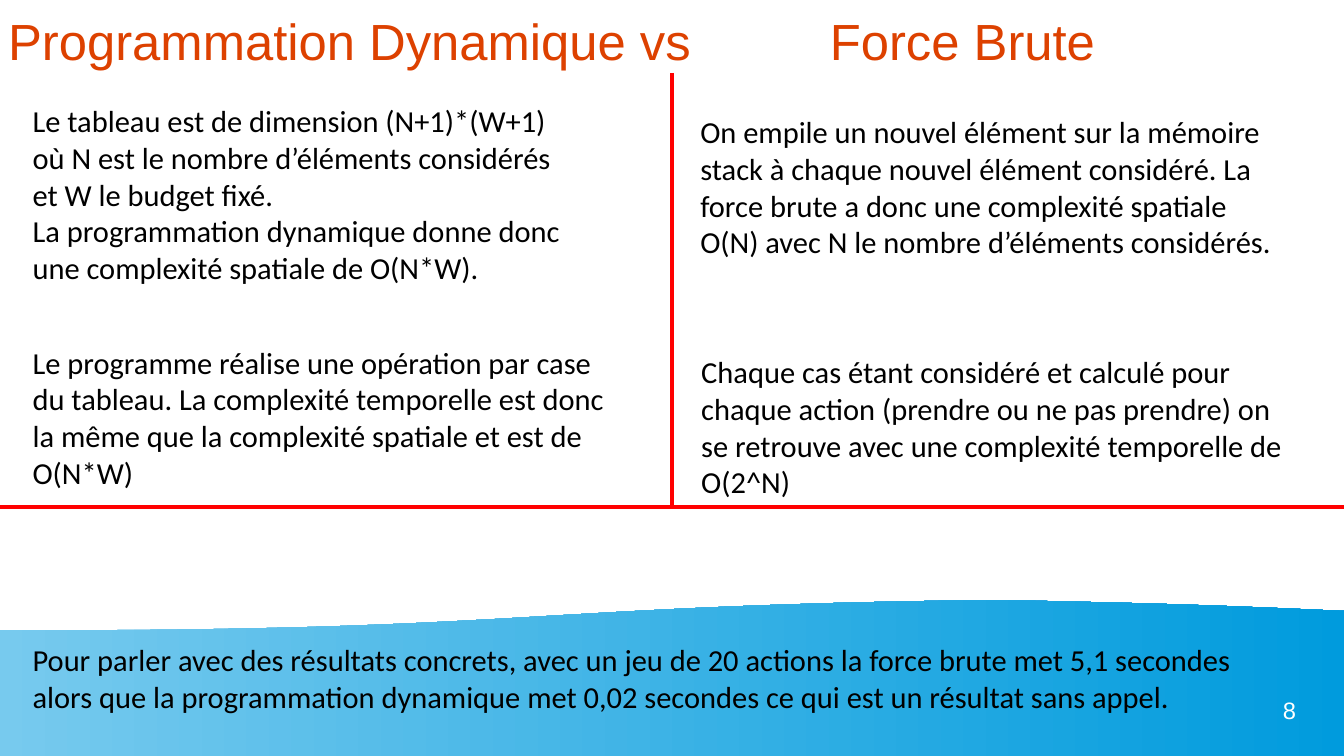
from dataclasses import dataclass

from lxml.etree import SubElement
from pptx import Presentation
from pptx.dml.color import RGBColor
from pptx.enum.shapes import MSO_CONNECTOR
from pptx.enum.text import MSO_ANCHOR, MSO_AUTO_SIZE, PP_ALIGN
from pptx.oxml.ns import qn
from pptx.shapes.autoshape import Shape
from pptx.slide import Slide
from pptx.util import Cm, Pt

WIDTH, HEIGHT = 28.0, 15.75
MIDDLE, FLOOR = WIDTH / 2, 10.57
COLORS = {
    "title": "DD4100",
    "text": "000000",
    "divider": "FF0000",
    "number": "FFFFFF",
    "wave_left": "77CAEE",
    "wave_right": "009BDD",
}
Point = tuple[float, float]


@dataclass(frozen=True)
class TextBlock:
    left: float
    top: float
    width: float
    height: float
    paragraphs: tuple[str, ...]
    size: int = 18
    font: str = "Calibri"
    color: str = "text"
    align: PP_ALIGN = PP_ALIGN.LEFT
    anchor: MSO_ANCHOR = MSO_ANCHOR.TOP
    padded: bool = True


@dataclass(frozen=True)
class Divider:
    start: Point
    end: Point


@dataclass(frozen=True)
class Curve:
    start: Point
    first_control: Point
    second_control: Point
    end: Point

    def points(self, steps: int = 40) -> list[Point]:
        return [self.at(step / steps) for step in range(1, steps + 1)]

    def at(self, t: float) -> Point:
        weights = ((1 - t) ** 3, 3 * t * (1 - t) ** 2, 3 * t**2 * (1 - t), t**3)
        anchors = (self.start, self.first_control, self.second_control, self.end)
        x, y = (sum(w * a[axis] for w, a in zip(weights, anchors)) for axis in (0, 1))
        return x, y


WAVE = (
    Curve((0, 13.13), (11.07, 13.16), (10.72, 12.62), (20.73, 12.5)),
    Curve((20.73, 12.5), (24.28, 12.57), (25.6, 12.62), (WIDTH, 12.73)),
)
TITLE = TextBlock(
    0.17, 0, 27.8, 1.68, ("Programmation Dynamique vs\tForce Brute",),
    30, "Arial", "title", anchor=MSO_ANCHOR.MIDDLE, padded=False,
)
TITLE_TAB = 17.12
BLOCKS = (
    TextBlock(20.5, 14.5, 6.5, 0.99, ("8",), 14, "Arial", "number",
              PP_ALIGN.RIGHT, padded=False),
    TextBlock(0.43, 2.01, 11.6, 4.11, (
        "Le tableau est de dimension (N+1)*(W+1) où N est le nombre d’éléments "
        "considérés et W le budget fixé.",
        "La programmation dynamique donne donc une complexité spatiale de O(N*W).",
    )),
    TextBlock(0.43, 7.04, 12.52, 3.33, (
        "Le programme réalise une opération par case du tableau. La complexité "
        "temporelle est donc la même que la complexité spatiale et est de",
        "O(N*W)",
    )),
    TextBlock(14.34, 2.24, 12.8, 3.33, (
        "On empile un nouvel élément sur la mémoire stack à chaque nouvel élément "
        "considéré. La force brute a donc une complexité spatiale O(N) avec N le "
        "nombre d’éléments considérés.",
    )),
    TextBlock(14.36, 7.24, 12.93, 3.33, (
        "Chaque cas étant considéré et calculé pour chaque action (prendre ou ne "
        "pas prendre) on se retrouve avec une complexité temporelle de O(2^N)",
    )),
    TextBlock(0.43, 13.23, 26.72, 1.8, (
        "Pour parler avec des résultats concrets, avec un jeu de 20 actions la force "
        "brute met 5,1 secondes alors que la programmation dynamique met 0,02 "
        "secondes ce qui est un résultat sans appel.",
    )),
)
DIVIDERS = (
    Divider((MIDDLE, 1.52), (MIDDLE, FLOOR)),
    Divider((0, FLOOR), (WIDTH, FLOOR)),
)


def color(name: str) -> RGBColor:
    return RGBColor.from_string(COLORS[name])


def draw_wave(page: Slide) -> None:
    outline = [point for curve in WAVE for point in curve.points()]
    outline += [(WIDTH, HEIGHT), (0, HEIGHT)]
    x, y = WAVE[0].start
    builder = page.shapes.build_freeform(Cm(x), Cm(y))
    builder.add_line_segments([(Cm(x), Cm(y)) for x, y in outline], close=True)
    wave = builder.convert_to_shape()
    wave.shadow.inherit = False
    wave.line.fill.background()
    wave.fill.gradient()
    wave.fill.gradient_angle = 0
    for stop, name in zip(wave.fill.gradient_stops, ("wave_left", "wave_right")):
        stop.color.rgb = color(name)


def draw_text(page: Slide, block: TextBlock) -> Shape:
    box = page.shapes.add_textbox(
        Cm(block.left), Cm(block.top), Cm(block.width), Cm(block.height)
    )
    frame = box.text_frame
    frame.word_wrap = True
    frame.vertical_anchor = block.anchor
    if block.padded:
        frame.auto_size = MSO_AUTO_SIZE.SHAPE_TO_FIT_TEXT
    else:
        frame.margin_left = frame.margin_right = 0
        frame.margin_top = frame.margin_bottom = 0
    frame.text = "\n".join(block.paragraphs)
    for para in frame.paragraphs:
        para.alignment = block.align
        para.font.size = Pt(block.size)
        para.font.name = block.font
        para.font.color.rgb = color(block.color)
    return box


def draw_title(page: Slide) -> None:
    para = draw_text(page, TITLE).text_frame.paragraphs[0]
    properties = para._p.get_or_add_pPr()
    tabs = properties.makeelement(qn("a:tabLst"), {})
    SubElement(tabs, qn("a:tab"), pos=str(Cm(TITLE_TAB)), algn="l")
    properties.find(qn("a:defRPr")).addprevious(tabs)


def draw_divider(page: Slide, divider: Divider) -> None:
    ends = [Cm(value) for value in (*divider.start, *divider.end)]
    line = page.shapes.add_connector(MSO_CONNECTOR.STRAIGHT, *ends)
    line.line.color.rgb = color("divider")
    line.line.width = Pt(2.25)
    SubElement(line._element.spPr, qn("a:effectLst"))


def main() -> None:
    deck = Presentation()
    deck.slide_width, deck.slide_height = Cm(WIDTH), Cm(HEIGHT)
    page = deck.slides.add_slide(deck.slide_layouts[6])
    draw_wave(page)
    draw_title(page)
    for block in BLOCKS:
        draw_text(page, block)
    for divider in DIVIDERS:
        draw_divider(page, divider)
    deck.save("out.pptx")


if __name__ == "__main__":
    main()
